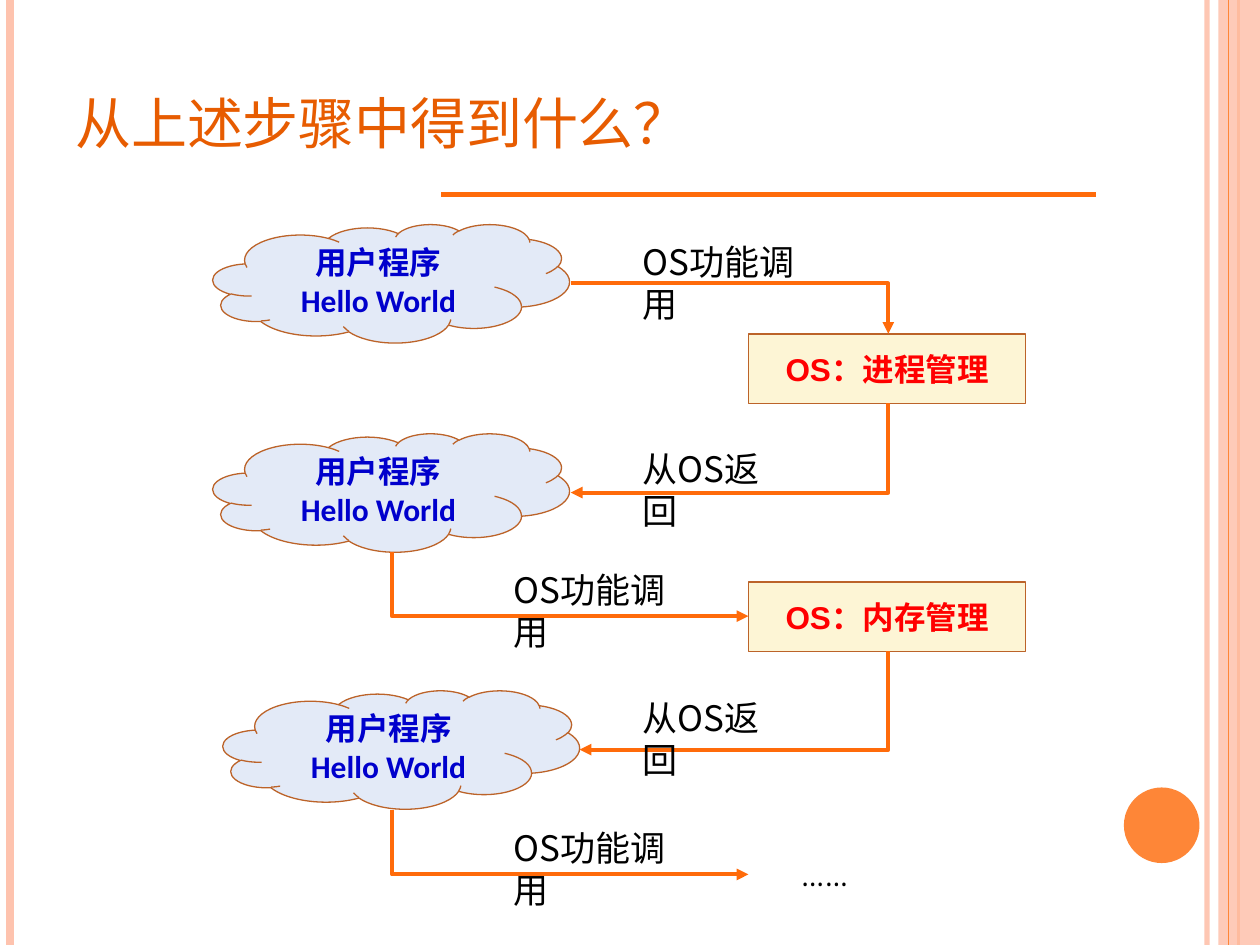
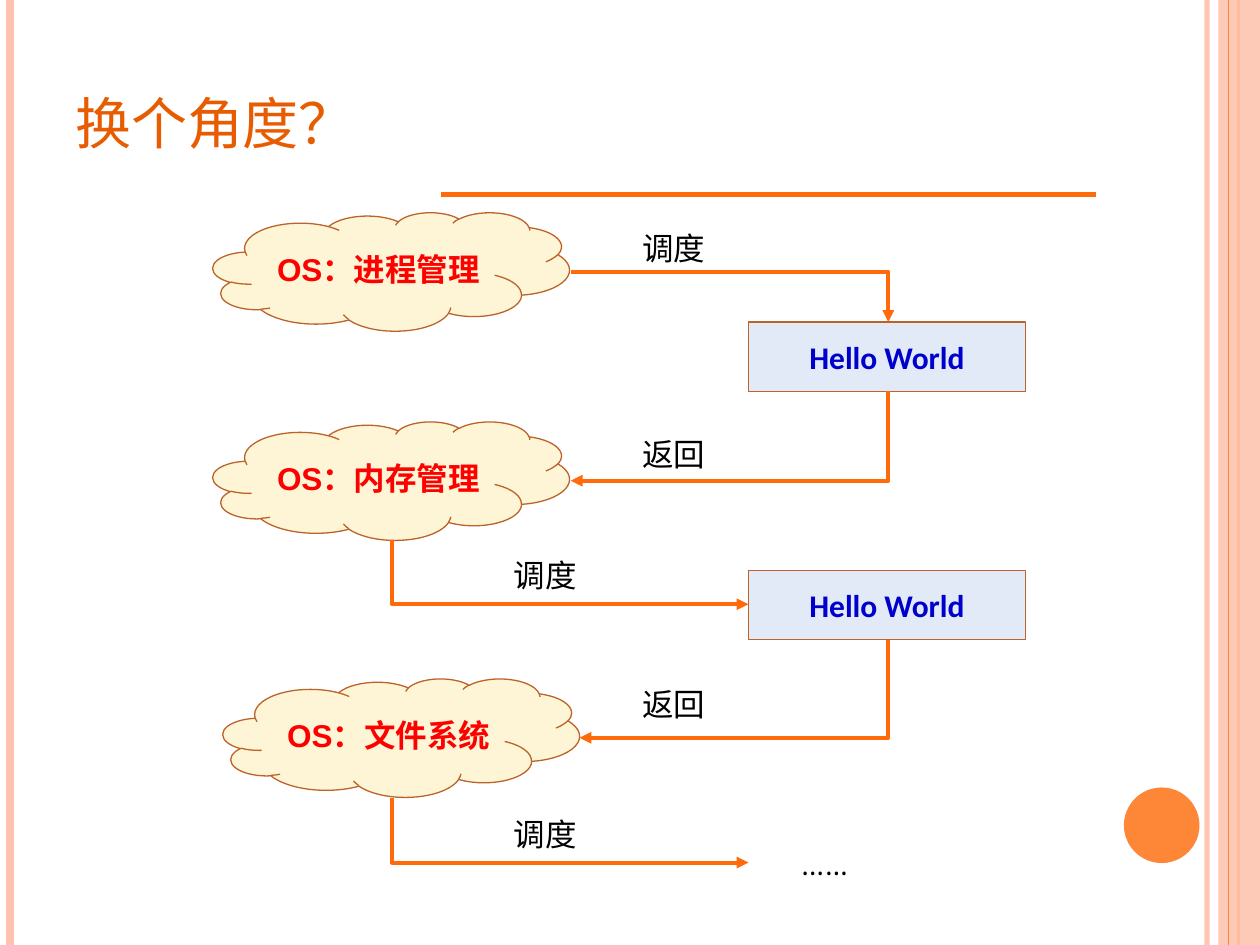
from lxml.etree import SubElement
from pptx import Presentation
from pptx.dml.color import RGBColor
from pptx.enum.shapes import MSO_CONNECTOR, MSO_SHAPE
from pptx.enum.text import MSO_ANCHOR, PP_ALIGN
from pptx.oxml.ns import qn
from pptx.util import Inches, Pt

hues = {"rose": "FEC3AE", "peach": "FE8637", "fire": "FF6B0A", "title": "E75C01",
        "rust": "BC6329", "sky": "E3EAF7", "cream": "FDF5D5",
        "blue": "0000CC", "red": "FF0000", "black": "000000"}
tint = {name: RGBColor.from_string(code) for name, code in hues.items()}
hans = "Noto Sans CJK SC"
forms = {
    "title": ({"size": Pt(40), "name": hans}, "title", PP_ALIGN.LEFT),
    "user": ({"size": Pt(18), "name": "Calibri", "bold": True}, "blue", PP_ALIGN.CENTER),
    "core": ({"size": Pt(18), "name": "Arial", "bold": True}, "red", PP_ALIGN.CENTER),
    "large": ({"size": Pt(20), "name": hans}, "black", PP_ALIGN.LEFT),
    "small": ({"size": Pt(18), "name": hans}, "black", PP_ALIGN.LEFT),
    "dots": ({"size": Pt(18), "name": "Cambria"}, "black", PP_ALIGN.LEFT),
}
fills = {"user": "sky", "core": "cream"}

deck = Presentation()
deck.slide_width, deck.slide_height = Inches(10), Inches(7.5)
cell = deck.slide_width / 100
rows = 75


def write(shape, text, form):
    font, hue, align = forms[form]
    frame = shape.text_frame
    frame.word_wrap = True
    frame.text = text
    for para in frame.paragraphs:
        para.alignment = align
        for run in para.runs:
            for key, value in font.items():
                setattr(run.font, key, value)
            run.font.color.rgb = tint[hue]
            props = run.font._element
            SubElement(props, qn("a:ea")).set("typeface", hans)
            if form == "title":
                props.set("cap", "small")


def draw(slide, kind, ends, hue, width):
    line = slide.shapes.add_connector(kind, *[int(end * cell) for end in ends])
    line.line.color.rgb = tint[hue]
    line.line.width = Pt(width)
    SubElement(line._element.spPr, qn("a:effectLst"))
    return line


decor = [("rail", 95.8, "rose", 3, 93), ("rail", 0.8, "rose", 4.5, 100),
         ("rail", 98.3, "peach", 1.5, 100),
         (MSO_SHAPE.RECTANGLE, (96.7, 0, 3.3, rows), "rose", 0, 87),
         ("rail", 97.5, "peach", 0.75, 100),
         (MSO_SHAPE.OVAL, (89.2, 62.5, 6, 6), "peach", 0, 100)]

clouds = [(16.9, 17.8), (16.9, 34.4), (17.7, 54.8)]
boxes = [(59.4, 26.5), (59.4, 46.2)]
notes = [(50, 18.6), (50, 35), (39.8, 44.6), (50, 54.8), (39.8, 65.1)]
arrows = [
    ((45.3, 22.5, 70.5, 26.5), 0, ("cloud", 0, 0), ("box", 0, 0)),
    ((70.5, 32, 45.3, 39.1), 90, ("box", 0, 2), ("cloud", 1, 0)),
    ((31.1, 43.8, 59.4, 48.9), 270, ("cloud", 1, 1), ("box", 1, 1)),
    ((70.5, 51.7, 46, 59.5), 90, ("box", 1, 2), ("cloud", 2, 0)),
    ((31.1, 64.3, 59.4, 69.4), 270, None, None),
]

hello = "Hello World"
call, back = "OS功能调用", "从OS返回"
go, home = "调度", "返回"
pages = [
    {"title": "从上述步骤中得到什么？", "lift": 0, "cloud": "user", "box": "core",
     "clouds": ["用户程序\n" + hello] * 3, "boxes": ["OS：进程管理", "OS：内存管理"],
     "notes": [call, back, call, back, call], "note": "large",
     "wide": {call: 16.7, back: 13.9}, "tall": 4.4},
    {"title": "换个角度？", "lift": 0.94, "cloud": "core", "box": "user",
     "clouds": ["OS：进程管理", "OS：内存管理", "OS：文件系统"], "boxes": [hello] * 2,
     "notes": [go, home, go, home, go], "note": "small",
     "wide": {go: 7.1, home: 7.1}, "tall": 4},
]

for page in pages:
    slide = deck.slides.add_slide(deck.slide_layouts[6])
    lift = page["lift"]

    for kind, place, hue, width, alpha in decor:
        if kind == "rail":
            item = draw(slide, MSO_CONNECTOR.STRAIGHT, (place, 0, place, rows), hue, width)
        else:
            item = slide.shapes.add_shape(kind, *[int(part * cell) for part in place])
            item.shadow.inherit = False
            item.fill.solid()
            item.fill.fore_color.rgb = tint[hue]
            item.line.fill.background()
        if alpha < 100:
            for mark in item._element.iter(qn("a:srgbClr")):
                SubElement(mark, qn("a:alpha")).set("val", str(alpha * 1000))
    draw(slide, MSO_CONNECTOR.STRAIGHT, (35, 15.45, 87, 15.45), "fire", 3)

    head = slide.shapes.add_textbox(*[int(part * cell) for part in (5, 3, 81.7, 10.1)])
    head.text_frame.vertical_anchor = MSO_ANCHOR.BOTTOM
    write(head, page["title"], "title")

    nodes = {"cloud": [], "box": []}
    for role, kind, spots, size, texts in [
            ("cloud", MSO_SHAPE.CLOUD, clouds, (28.3, 9.4), page["clouds"]),
            ("box", MSO_SHAPE.RECTANGLE, boxes, (22, 5.5), page["boxes"])]:
        for (x, y), text in zip(spots, texts):
            area = (x, y - lift, *size)
            node = slide.shapes.add_shape(kind, *[int(part * cell) for part in area])
            node.shadow.inherit = False
            node.fill.solid()
            node.fill.fore_color.rgb = tint[fills[page[role]]]
            node.line.color.rgb = tint["rust"]
            node.line.width = Pt(0.75)
            node.text_frame.vertical_anchor = MSO_ANCHOR.MIDDLE
            write(node, text, page[role])
            nodes[role].append(node)

    for (x1, y1, x2, y2), turn, start, stop in arrows:
        ends = (x1, y1 - lift, x2, y2 - lift)
        arrow = draw(slide, MSO_CONNECTOR.ELBOW, ends, "fire", 2.25)
        props = arrow._element.spPr
        SubElement(props.find(qn("a:ln")), qn("a:tailEnd")).set("type", "triangle")
        if start:
            arrow.begin_connect(nodes[start[0]][start[1]], start[2])
            arrow.end_connect(nodes[stop[0]][stop[1]], stop[2])
        props.find(qn("a:prstGeom")).set("prst", "bentConnector2")
        frame = props.find(qn("a:xfrm"))
        for key in ("flipH", "flipV"):
            frame.attrib.pop(key, None)
        wide, tall = abs(x2 - x1), abs(y2 - y1)
        if turn:
            wide, tall = tall, wide
            frame.set("rot", str(turn * 60000))
        if turn == 270:
            frame.set("flipH", "1")
        spot = {"left": (x1 + x2 - wide) / 2, "top": (y1 + y2 - tall) / 2 - lift,
                "width": wide, "height": tall}
        for key, value in spot.items():
            setattr(arrow, key, int(value * cell))

    labels = [(x, y, page["wide"][text], page["tall"], text, page["note"])
              for (x, y), text in zip(notes, page["notes"])]
    labels.append((62.5, 67.4, 8, 4, "……", "dots"))
    for x, y, wide, tall, text, form in labels:
        area = (x, y - lift, wide, tall)
        label = slide.shapes.add_textbox(*[int(part * cell) for part in area])
        write(label, text, form)

deck.save("out.pptx")
